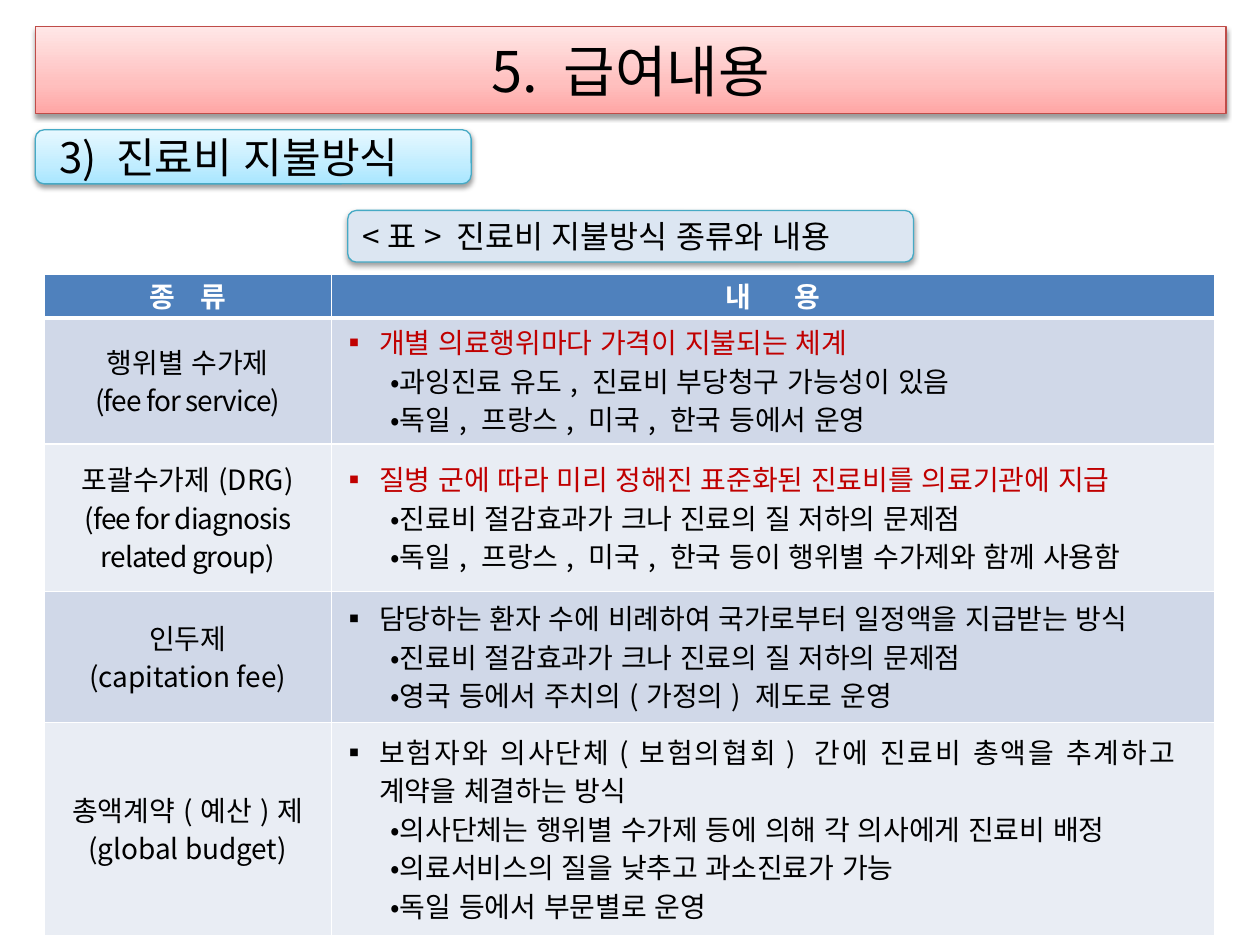
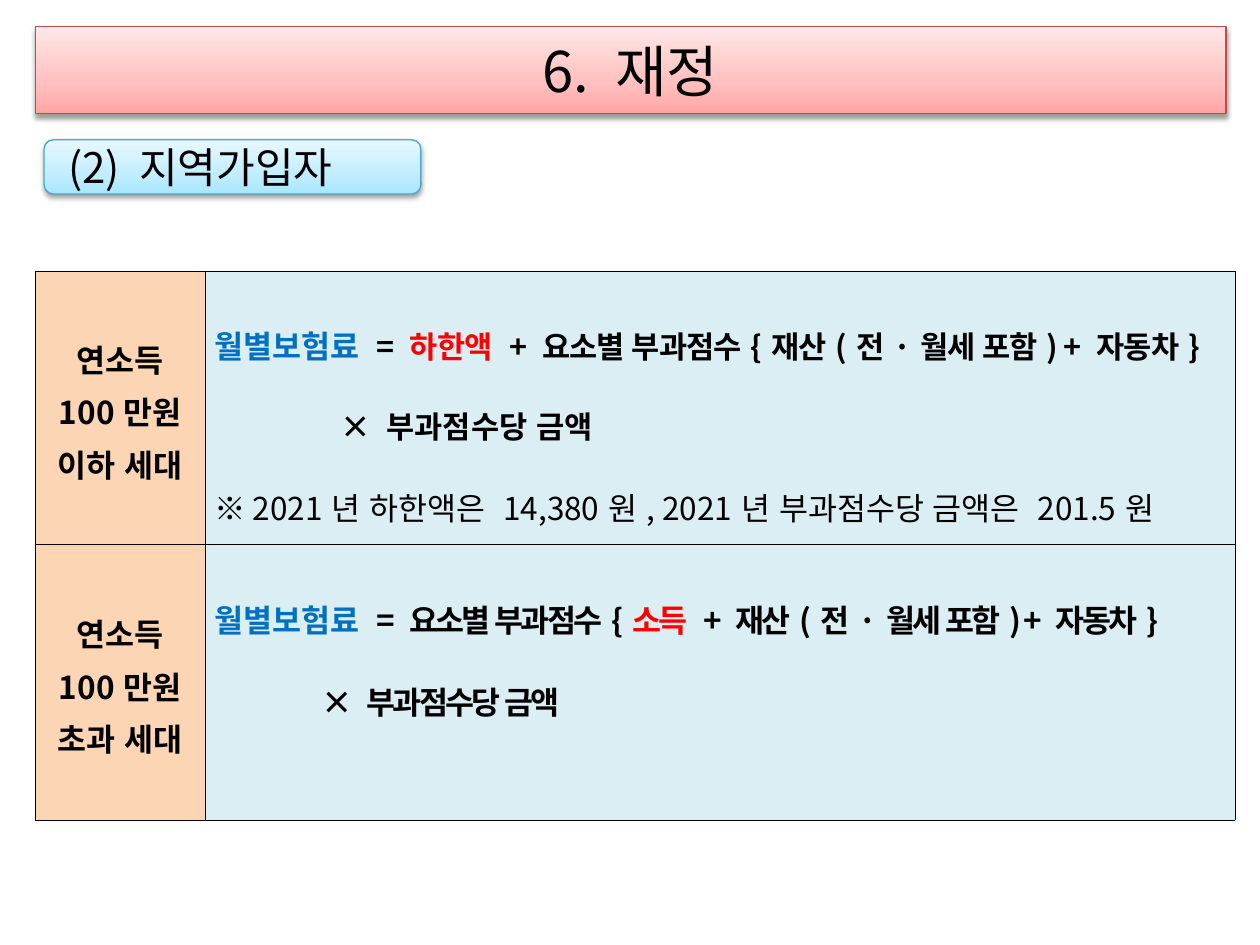
"""Build two slides on health insurance: payment methods and premium finance."""
from copy import deepcopy
from dataclasses import dataclass, field
from typing import Any, Optional

from lxml.etree import SubElement
from pptx import Presentation
from pptx.dml.color import RGBColor
from pptx.enum.lang import MSO_LANGUAGE_ID as Lang
from pptx.enum.shapes import MSO_SHAPE as Preset
from pptx.enum.text import MSO_ANCHOR as Anchor, PP_ALIGN as Align
from pptx.oxml.ns import qn
from pptx.util import Inches, Pt

SLIDE_WIDTH, SLIDE_HEIGHT = Inches(10), Inches(7.5)
GRID_COLUMNS, GRID_ROWS = 100, 75
FONT = "Noto Sans CJK KR"

BLACK = RGBColor(0x00, 0x00, 0x00)
WHITE = RGBColor(0xFF, 0xFF, 0xFF)
DARK_RED = RGBColor(0xC0, 0x00, 0x00)
RED = RGBColor(0xFF, 0x00, 0x00)
BLUE = RGBColor(0x00, 0x70, 0xC0)
TITLE_LINE = RGBColor(0xBF, 0x4C, 0x48)
LABEL_LINE = RGBColor(0x46, 0xAA, 0xC5)
CAPTION_FILL = RGBColor(0xDC, 0xE6, 0xF2)
HEADER_FILL = RGBColor(0x4F, 0x81, 0xBD)
BAND_FILLS = (RGBColor(0xD0, 0xD8, 0xE8), RGBColor(0xE9, 0xED, 0xF4))
HOUSEHOLD_FILL = RGBColor(0xFC, 0xD5, 0xB5)
FORMULA_FILL = RGBColor(0xDB, 0xEE, 0xF4)
PINK_SHADES = (RGBColor(0xFF, 0xA6, 0xA5), RGBColor(0xFF, 0xC0, 0xBF), RGBColor(0xFF, 0xE7, 0xE7))
SKY_SHADES = (RGBColor(0xA7, 0xE6, 0xFF), RGBColor(0xC1, 0xED, 0xFF), RGBColor(0xE7, 0xF8, 0xFF))
SHADE_POSITIONS = (0, 0.35, 1)


@dataclass(frozen=True)
class Piece:
    text: str
    size: float = 16
    color: RGBColor = BLACK
    bold: bool = False
    spacing: float = 0


@dataclass(frozen=True)
class Line:
    pieces: tuple[Piece, ...]
    align: Any = Align.CENTER
    leading: Any = None
    left: float = 0
    indent: float = 0
    bullet: str = ""


@dataclass(frozen=True)
class Area:
    column: float
    row: float
    columns: float
    rows: float

    def box(self) -> tuple[int, int, int, int]:
        return across(self.column), down(self.row), across(self.columns), down(self.rows)


@dataclass(frozen=True)
class Banner:
    area: Area
    line: Line
    outline: RGBColor = LABEL_LINE
    shades: tuple[RGBColor, ...] = SKY_SHADES
    preset: Any = Preset.ROUNDED_RECTANGLE
    inset: float = 1


@dataclass(frozen=True)
class Cell:
    lines: list[Line]
    fill: RGBColor
    insets: dict[str, int] = field(default_factory=dict)


@dataclass(frozen=True)
class Grid:
    area: Area
    columns: tuple[float, ...]
    rows: tuple[float, ...]
    cells: list[list[Cell]]
    border: RGBColor
    border_width: float
    side_inset: float
    header_rule: Optional[float] = None


def across(columns: float) -> int:
    """Turn grid columns into a length."""
    return round(SLIDE_WIDTH * columns / GRID_COLUMNS)


def down(rows: float) -> int:
    """Turn grid rows into a length."""
    return round(SLIDE_HEIGHT * rows / GRID_ROWS)


def set_all(target: Any, values: dict[str, Any]) -> None:
    """Set every named attribute on the target."""
    for name, value in values.items():
        setattr(target, name, value)


def write(frame: Any, lines: list[Line]) -> None:
    """Fill a text frame with formatted lines."""
    frame.word_wrap = True
    for number, line in enumerate(lines):
        para = frame.add_paragraph() if number else frame.paragraphs[0]
        props = para._p.get_or_add_pPr()
        props.set("marL", str(across(line.left)))
        props.set("indent", str(across(line.indent)))
        if line.bullet:
            SubElement(props, qn("a:buFont"), typeface=FONT)
            SubElement(props, qn("a:buChar"), char=line.bullet)
        set_all(para, {"alignment": line.align, "line_spacing": line.leading})
        for piece in line.pieces:
            run = para.add_run()
            run.text = piece.text
            run.font.color.rgb = piece.color
            set_all(run.font, {"size": Pt(piece.size), "bold": piece.bold,
                               "name": FONT, "language_id": Lang.KOREAN})
            run_props = run._r.get_or_add_rPr()
            run_props.set("spc", str(round(piece.spacing * 100)))
            SubElement(run_props, qn("a:ea"), typeface=FONT)


def paint(shape: Any, shades: tuple[RGBColor, ...]) -> None:
    """Fill a shape with one colour or an upward gradient."""
    if len(shades) == 1:
        shape.fill.solid()
        shape.fill.fore_color.rgb = shades[0]
        return
    shape.fill.gradient()
    shape.fill.gradient_angle = 90
    stops = shape._element.spPr.find(qn("a:gradFill")).find(qn("a:gsLst"))
    stops.append(deepcopy(stops[0]))
    for stop, shade, position in zip(shape.fill.gradient_stops, shades, SHADE_POSITIONS):
        stop.color.rgb = shade
        stop.position = position


def cast_shadow(shape: Any) -> None:
    """Give a shape a soft shadow below it."""
    shape.shadow.inherit = False
    effects = shape._element.spPr.find(qn("a:effectLst"))
    shadow = SubElement(effects, qn("a:outerShdw"), blurRad=str(Pt(3.1)),
                        dist=str(Pt(1.6)), dir="5400000", rotWithShape="0")
    tone = SubElement(shadow, qn("a:srgbClr"), val=str(BLACK))
    SubElement(tone, qn("a:alpha"), val="38000")


def draw_banner(slide: Any, banner: Banner) -> None:
    """Draw a shaded box holding one line of text."""
    shape = slide.shapes.add_shape(banner.preset, *banner.area.box())
    paint(shape, banner.shades)
    shape.line.color.rgb = banner.outline
    shape.line.width = Pt(0.75)
    cast_shadow(shape)
    set_all(shape.text_frame, {"vertical_anchor": Anchor.MIDDLE, "margin_left": across(banner.inset),
                               "margin_top": 0, "margin_bottom": 0})
    write(shape.text_frame, [banner.line])


def draw_title(slide: Any, text: str) -> None:
    """Draw the title band shared by the slides."""
    draw_banner(slide, Banner(Area(2.8, 2.1, 94.5, 6.9), Line((Piece(text, 32),)),
                              TITLE_LINE, PINK_SHADES, Preset.RECTANGLE))


def draw_section(slide: Any, text: str, area: Area) -> None:
    """Draw the section label under the title."""
    draw_banner(slide, Banner(area, Line((Piece(text, 24),), Align.LEFT), inset=1.7))


def add_borders(cell: Any, color: RGBColor, widths: dict[str, float]) -> None:
    """Draw the four borders of a table cell."""
    for side, width in widths.items():
        edge = SubElement(cell._tc.get_or_add_tcPr(), qn(f"a:ln{side}"), w=str(Pt(width)))
        SubElement(SubElement(edge, qn("a:solidFill")), qn("a:srgbClr"), val=str(color))


def draw_grid(slide: Any, grid: Grid) -> None:
    """Draw a table with its fills, borders and text."""
    table = slide.shapes.add_table(len(grid.rows), len(grid.columns), *grid.area.box()).table
    set_all(table, {"first_row": False, "horz_banding": False})
    for column, width in zip(table.columns, grid.columns):
        column.width = across(width)
    for row, height in zip(table.rows, grid.rows):
        row.height = down(height)
    for row_number, row_cells in enumerate(grid.cells):
        widths = dict.fromkeys("LRTB", grid.border_width)
        if grid.header_rule and row_number < 2:
            widths["T" if row_number else "B"] = grid.header_rule
        for column_number, content in enumerate(row_cells):
            cell = table.cell(row_number, column_number)
            add_borders(cell, grid.border, widths)
            cell.fill.solid()
            cell.fill.fore_color.rgb = content.fill
            side, edge = across(grid.side_inset), down(0.2)
            set_all(cell, {"vertical_anchor": Anchor.MIDDLE, "margin_left": side, "margin_right": side,
                           "margin_top": edge, "margin_bottom": edge, **content.insets})
            write(cell.text_frame, content.lines)


def method_line(text: str, spacing: float = 0, **look: Any) -> Line:
    """Make a centred line of the payment table."""
    return Line((Piece(text, spacing=spacing, **look),), leading=Pt(22))


def detail_lines(summary: str, color: RGBColor, points: list[str]) -> list[Line]:
    """Make a summary line followed by its bullet points."""
    style = {"align": Align.JUSTIFY, "leading": Pt(22)}
    return [Line((Piece(summary, color=color),), left=3.1, indent=-3.1, bullet="▪", **style),
            *(Line((Piece(point),), left=2, indent=2, bullet="•", **style) for point in points)]


def payment_slide(slide: Any) -> None:
    """Draw the slide on payment methods."""
    methods = [
        ("행위별 수가제", "(fee for service)", -0.5,
         "개별 의료행위마다 가격이 지불되는 체계", DARK_RED,
         ["과잉진료 유도, 진료비 부당청구 가능성이 있음", "독일, 프랑스, 미국, 한국 등에서 운영"], {}),
        ("포괄수가제(DRG)", "(fee for diagnosis related group)", -0.5,
         "질병 군에 따라 미리 정해진 표준화된 진료비를 의료기관에 지급", DARK_RED,
         ["진료비 절감효과가 크나 진료의 질 저하의 문제점",
          "독일, 프랑스, 미국, 한국 등이 행위별 수가제와 함께 사용함"], {}),
        ("인두제", "(capitation fee)", 0,
         "담당하는 환자 수에 비례하여 국가로부터 일정액을 지급받는 방식", BLACK,
         ["진료비 절감효과가 크나 진료의 질 저하의 문제점", "영국 등에서 주치의(가정의) 제도로 운영"], {}),
        ("총액계약(예산)제", "(global budget)", 0,
         "보험자와 의사단체(보험의협회) 간에 진료비 총액을 추계하고 계약을 체결하는 방식", BLACK,
         ["의사단체는 행위별 수가제 등에 의해 각 의사에게 진료비 배정",
          "의료서비스의 질을 낮추고 과소진료가 가능", "독일 등에서 부문별로 운영"],
         {"margin_right": across(3.1)}),
    ]
    cells = [[Cell([method_line(text, gap, color=WHITE, bold=True)], HEADER_FILL)
              for text, gap in (("종 류", 5), ("내 용", 10))]]
    for number, (name, english, spacing, summary, color, points, insets) in enumerate(methods):
        band = BAND_FILLS[number % 2]
        cells.append([Cell([method_line(name), method_line(english, spacing)], band),
                      Cell(detail_lines(summary, color, points), band, insets)])
    draw_title(slide, "5. 급여내용")
    draw_grid(slide, Grid(Area(3.5, 21.8, 92.9, 52.1), (22.8, 70.1), (2.8, 10, 11.7, 10.4, 16.9),
                          cells, WHITE, 1, 0.7, header_rule=3))
    caption = Line((Piece("<표> 진료비 지불방식 종류와 내용", 18),), Align.LEFT)
    draw_banner(slide, Banner(Area(27.6, 16.7, 44.9, 4.1), caption, shades=(CAPTION_FILL,)))
    draw_section(slide, "3) 진료비 지불방식", Area(2.8, 10.3, 34.6, 4.3))


def formula_line(*pieces: Piece, left: float = 0.1) -> Line:
    """Make a widely spaced line of a premium formula."""
    return Line(pieces, Align.JUSTIFY, 1.8, left)


def finance_slide(slide: Any) -> None:
    """Draw the slide on premiums of the self-employed."""
    premium = Piece("월별보험료 ", 18, BLUE, True)
    low = {"size": 17.5, "bold": True, "spacing": -0.5}
    high = {"size": 18, "bold": True, "spacing": -1.5}
    low_income = [
        formula_line(premium, Piece("= ", **low), Piece("하한액 ", color=RED, **low),
                     Piece("+ 요소별 부과점수{재산(전·월세 포함) + 자동차}", **low)),
        formula_line(Piece("× 부과점수당 금액", 17.5, bold=True), left=10.1),
        formula_line(Piece("※ 2021년 하한액은 14,380원, 2021년 부과점수당 금액은 201.5원", 18)),
    ]
    high_income = [
        formula_line(premium, Piece("= 요소별 부과점수{", **high), Piece("소득 ", color=RED, **high),
                     Piece("+ 재산(전·월세 포함) + 자동차}", **high)),
        formula_line(Piece("× 부과점수당 금액", **high), left=8.6),
    ]
    households = [("연소득 100만원 이하 세대", low_income, {}),
                  ("연소득 100만원 초과 세대", high_income, {"margin_bottom": down(6.7)})]
    cells = [[Cell([Line((Piece(name, 18, bold=True),), leading=Pt(30))], HOUSEHOLD_FILL),
              Cell(formula, FORMULA_FILL, insets)] for name, formula, insets in households]
    draw_title(slide, "6. 재정")
    draw_section(slide, "(2) 지역가입자", Area(3.5, 11.1, 29.9, 4.3))
    draw_grid(slide, Grid(Area(2.8, 21.5, 95.3, 43.6), (13.5, 81.7), (21.7, 21.9),
                          cells, BLACK, 0.28, 0.6))


def main() -> None:
    """Build and save the presentation."""
    deck = Presentation()
    set_all(deck, {"slide_width": SLIDE_WIDTH, "slide_height": SLIDE_HEIGHT})
    for draw_slide in (payment_slide, finance_slide):
        draw_slide(deck.slides.add_slide(deck.slide_layouts[6]))
    deck.save("out.pptx")


if __name__ == "__main__":
    main()
